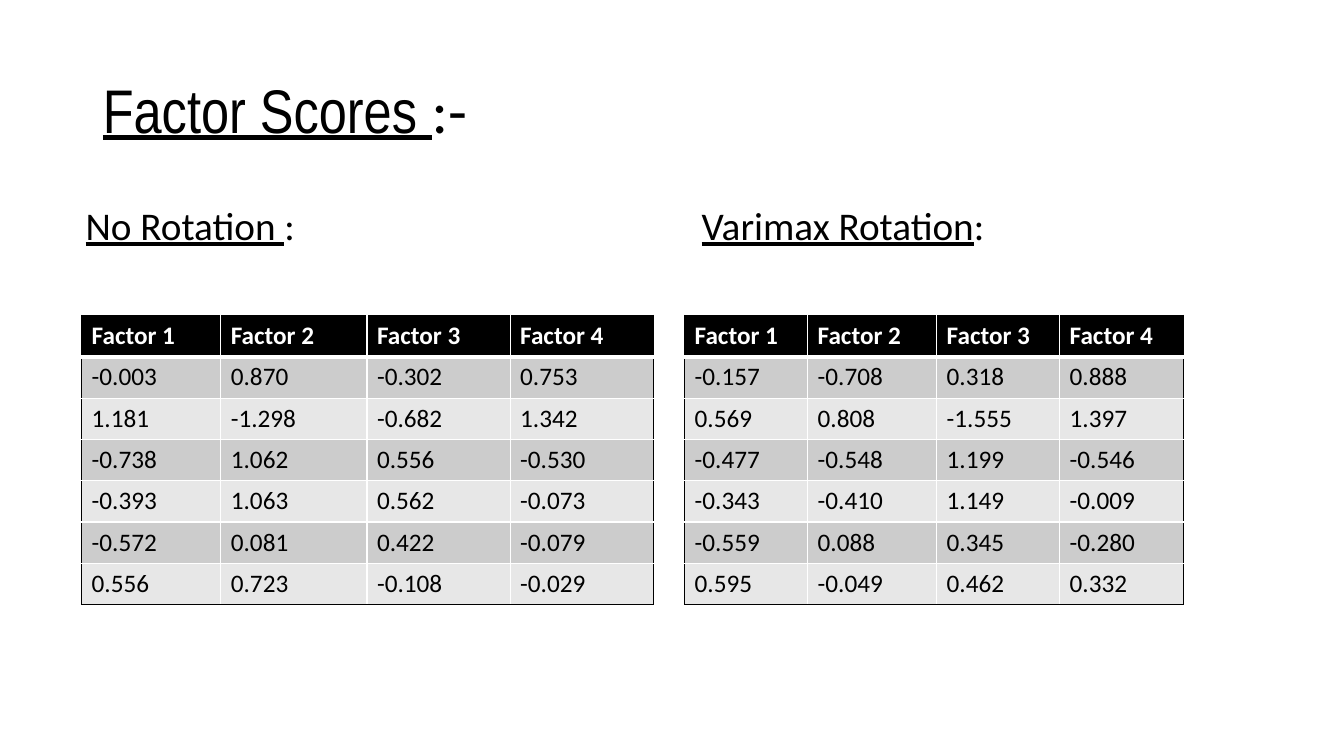
import lxml.etree
import pptx
import pptx.dml.color
import pptx.enum.text
import pptx.oxml.ns
import pptx.util

Inches = pptx.util.Inches
Pt = pptx.util.Pt
qn = pptx.oxml.ns.qn

BLACK = pptx.dml.color.RGBColor(0x00, 0x00, 0x00)
WHITE = pptx.dml.color.RGBColor(0xFF, 0xFF, 0xFF)
DARK = pptx.dml.color.RGBColor(0xCC, 0xCC, 0xCC)
LIGHT = pptx.dml.color.RGBColor(0xE7, 0xE7, 0xE7)

TOP = 3.13
ROW = 0.41
HEADS = ["Factor 1", "Factor 2", "Factor 3", "Factor 4"]

PLAIN = [
    ["-0.003", "0.870", "-0.302", "0.753"],
    ["1.181", "-1.298", "-0.682", "1.342"],
    ["-0.738", "1.062", "0.556", "-0.530"],
    ["-0.393", "1.063", "0.562", "-0.073"],
    ["-0.572", "0.081", "0.422", "-0.079"],
    ["0.556", "0.723", "-0.108", "-0.029"],
]
VARIMAX = [
    ["-0.157", "-0.708", "0.318", "0.888"],
    ["0.569", "0.808", "-1.555", "1.397"],
    ["-0.477", "-0.548", "1.199", "-0.546"],
    ["-0.343", "-0.410", "1.149", "-0.009"],
    ["-0.559", "0.088", "0.345", "-0.280"],
    ["0.595", "-0.049", "0.462", "0.332"],
]


def assign(item, **values):
    """Set each named value as an attribute of the item."""
    for name, value in values.items():
        setattr(item, name, value)


def place(shape, left, top, width, height):
    assign(shape, left=Inches(left), top=Inches(top),
           width=Inches(width), height=Inches(height))


def add_run(para, text, size, color=BLACK, **style):
    run = para.add_run()
    run.text = text
    run.font.color.rgb = color
    assign(run.font, **{"size": Pt(size), "name": "Calibri", **style})


def add_title(slide):
    title = slide.shapes.title
    place(title, 0.92, 0.4, 11.5, 1.45)
    title.text_frame.vertical_anchor = pptx.enum.text.MSO_ANCHOR.MIDDLE
    para = title.text_frame.paragraphs[0]
    assign(para, alignment=pptx.enum.text.PP_ALIGN.LEFT, line_spacing=0.9)
    add_run(para, "Factor Scores ", 44, name="Arial Narrow", underline=True)
    add_run(para, ":-", 44, underline=False)


def add_labels(slide):
    """Put both table headings on one line, the second at a tab stop."""
    box = slide.shapes.add_textbox(Inches(0.48), Inches(2),
                                   Inches(12.19), Inches(4.76))
    assign(box.text_frame, word_wrap=True, margin_left=Inches(0.37))
    para = box.text_frame.paragraphs[0]
    assign(para, line_spacing=0.9, space_before=Pt(10))
    tabs = lxml.etree.SubElement(para._p.get_or_add_pPr(), qn("a:tabLst"))
    lxml.etree.SubElement(tabs, qn("a:tab"), pos=str(Inches(6.11)), algn="l")
    for text, line in [("No Rotation ", True), (":\t", False),
                       ("Varimax Rotation", True), (":", False)]:
        add_run(para, text, 28, underline=line)


def add_edge(cell, side, color, width):
    props = cell._tc.get_or_add_tcPr()
    line = lxml.etree.SubElement(props, qn("a:ln" + side), w=str(Pt(width)))
    fill = lxml.etree.SubElement(line, qn("a:solidFill"))
    lxml.etree.SubElement(fill, qn("a:srgbClr"), val=str(color))


def add_edges(cell, row, col, last_row, last_col):
    """Black around the table, white inside, thick below the head."""
    outer = {"L": col == 0, "R": col == last_col,
             "T": row == 0, "B": row == last_row}
    for side, edge in outer.items():
        thick = (row, side) in [(0, "B"), (1, "T")]
        add_edge(cell, side, BLACK if edge else WHITE, 3 if thick else 1)


def add_scores(slide, left, widths, scores):
    rows = [HEADS] + scores
    frame = slide.shapes.add_table(len(rows), len(widths), Inches(left),
                                   Inches(TOP), Inches(sum(widths)),
                                   Inches(ROW * len(rows)))
    table = frame.table
    for column, width in zip(table.columns, widths):
        column.width = Inches(width)
    for r, texts in enumerate(rows):
        table.rows[r].height = Inches(ROW)
        head = r == 0
        for c, text in enumerate(texts):
            cell = table.cell(r, c)
            add_edges(cell, r, c, len(rows) - 1, len(widths) - 1)
            cell.fill.solid()
            band = DARK if r % 2 else LIGHT
            cell.fill.fore_color.rgb = BLACK if head else band
            add_run(cell.text_frame.paragraphs[0], text, 18,
                    WHITE if head else BLACK, bold=head)


def main():
    deck = pptx.Presentation()
    assign(deck, slide_width=Inches(13.33), slide_height=Inches(7.5))
    slide = deck.slides.add_slide(deck.slide_layouts[5])
    add_title(slide)
    add_labels(slide)
    add_scores(slide, 0.81, [1.38, 1.45, 1.42, 1.42], PLAIN)
    add_scores(slide, 6.79, [1.22, 1.28, 1.22, 1.23], VARIMAX)
    deck.save("out.pptx")


if __name__ == "__main__":
    main()
